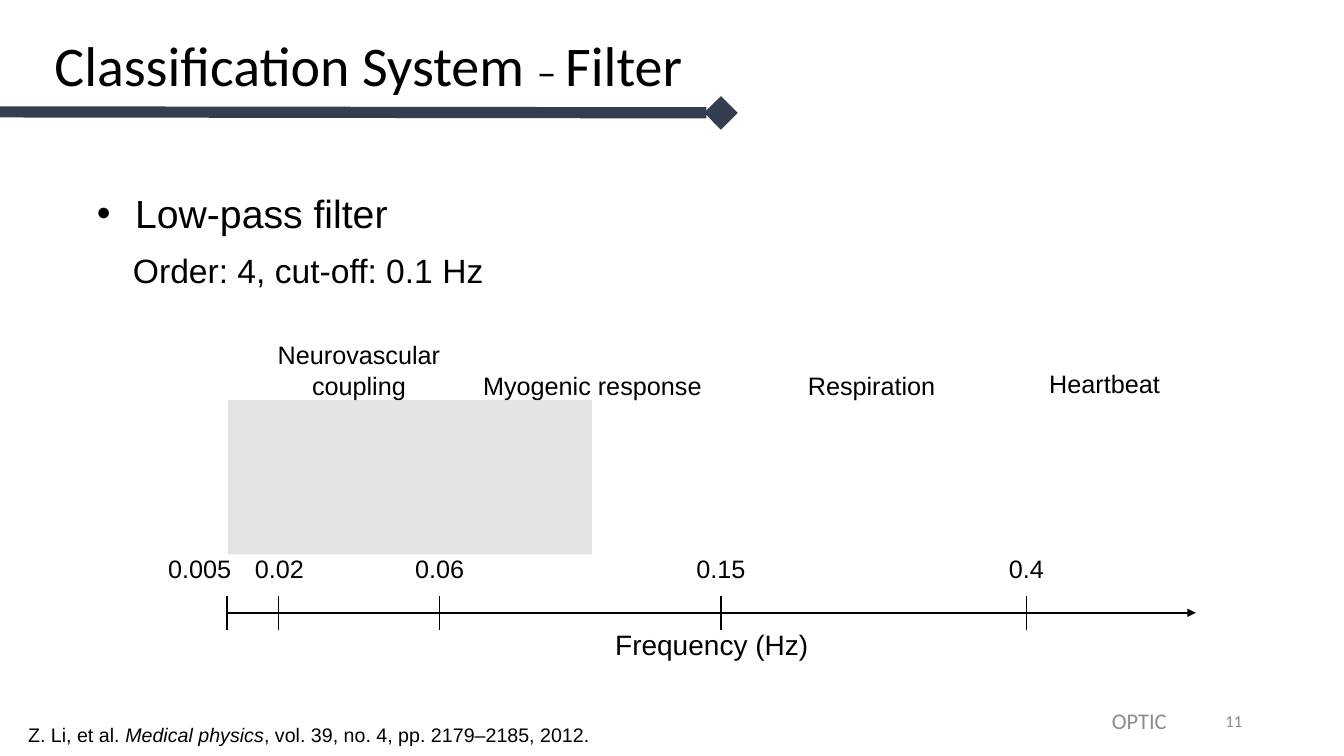
"""Build the low-pass filter slide with its annotated frequency axis."""
from dataclasses import dataclass

import lxml.etree
import pptx
import pptx.dml.color
import pptx.enum.shapes
import pptx.enum.text
import pptx.oxml.ns
import pptx.util

Inches = pptx.util.Inches
Align = pptx.enum.text.PP_ALIGN
Anchor = pptx.enum.text.MSO_ANCHOR
AutoSize = pptx.enum.text.MSO_AUTO_SIZE


@dataclass(frozen=True)
class Theme:
    ink: str = "000000"
    rule: str = "333F50"
    muted: str = "8C8C8C"
    band: str = "D9D9D9"
    heading_font: str = "Calibri"
    body_font: str = "Arial"
    title_size: int = 40
    dash_size: int = 28
    bullet_size: int = 28
    detail_size: int = 24
    axis_size: int = 20
    label_size: int = 18
    footer_size: int = 16
    citation_size: int = 14
    number_size: int = 12


@dataclass(frozen=True)
class Span:
    text: str
    size: int | None = None
    italic: bool = False


@dataclass(frozen=True)
class Label:
    lines: tuple[str, ...]
    left: float
    top: float
    width: float
    height: float = 0.4


@dataclass(frozen=True)
class Tick:
    text: str
    x: float
    label_center: float


THEME = Theme()
AXIS_Y = 6.08
TICK_HALF = 0.17
TICK_LABEL_WIDTH = 1.02
SOURCES = (
    Label(("Heartbeat",), 10.3, 3.6, 1.31),
    Label(("Respiration",), 7.66, 3.62, 1.97),
    Label(("Myogenic response",), 4.68, 3.62, 2.39),
    Label(("Neurovascular", "coupling"), 2.59, 3.32, 1.94, 0.71),
)
TICKS = (
    Tick("0.005", 2.25, 1.98),
    Tick("0.02", 2.76, 2.77),
    Tick("0.06", 4.36, 4.36),
    Tick("0.15", 7.15, 7.15),
    Tick("0.4", 10.18, 10.18),
)


def color(value: str) -> pptx.dml.color.RGBColor:
    return pptx.dml.color.RGBColor.from_string(value)


def add_element(parent, tag: str, **attributes: str):
    element = lxml.etree.SubElement(parent, pptx.oxml.ns.qn(tag))
    for name, value in attributes.items():
        element.set(name, value)
    return element


def place(shape, left: float, top: float, width: float, height: float) -> None:
    shape.left, shape.top = Inches(left), Inches(top)
    shape.width, shape.height = Inches(width), Inches(height)


def write(box, *lines, size: int, font: str = THEME.body_font, ink: str = THEME.ink,
          align=Align.LEFT, anchor=Anchor.TOP, spacing: float = 1.0,
          grow: bool = True, bullet: bool = False) -> None:
    frame = box.text_frame
    frame.word_wrap = True
    frame.vertical_anchor = anchor
    frame.auto_size = AutoSize.SHAPE_TO_FIT_TEXT if grow else AutoSize.NONE
    for index, line in enumerate(lines):
        para = frame.paragraphs[0] if index == 0 else frame.add_paragraph()
        para.alignment, para.line_spacing = align, spacing
        para.space_before = pptx.util.Pt(0)
        if bullet:
            properties = para._p.get_or_add_pPr()
            properties.set("marL", str(Inches(0.38)))
            properties.set("indent", str(Inches(-0.38)))
            add_element(properties, "a:buFont", typeface="Arial")
            add_element(properties, "a:buChar", char="•")
        for span in ((Span(line),) if isinstance(line, str) else line):
            run = para.add_run()
            run.text = span.text
            run.font.name, run.font.size = font, pptx.util.Pt(span.size or size)
            run.font.italic = span.italic
            run.font.color.rgb = color(ink)


def add_text(page, left: float, top: float, width: float, height: float,
             *lines, **style) -> None:
    box = page.shapes.add_textbox(Inches(left), Inches(top), Inches(width), Inches(height))
    write(box, *lines, **style)


def add_line(page, start: tuple[float, float], end: tuple[float, float],
             width: float, ink: str = THEME.ink, tip: str | None = None) -> None:
    line = page.shapes.add_connector(
        pptx.enum.shapes.MSO_CONNECTOR.STRAIGHT, *map(Inches, start + end))
    line.line.color.rgb = color(ink)
    line.line.width = pptx.util.Pt(width)
    if tip:
        add_element(line.line._get_or_add_ln(), "a:tailEnd", type=tip)
    add_element(line._element.spPr, "a:effectLst")


def add_heading(page) -> None:
    title, body = page.shapes.title, page.placeholders[1]
    place(title, 0.44, -0.05, 12.38, 1.45)
    write(title, (Span("Classification System "), Span("– ", THEME.dash_size), Span("Filter")),
          size=THEME.title_size, font=THEME.heading_font, anchor=Anchor.MIDDLE,
          spacing=0.9, grow=False)
    add_line(page, (0, 1.11), (7.15, 1.12), 8, THEME.rule, "diamond")
    place(body, 0.86, 1.83, 4.58, 0.57)
    write(body, "Low-pass filter", size=THEME.bullet_size, bullet=True)
    add_text(page, 1.22, 2.43, 4.22, 0.5, "Order: 4, cut-off: 0.1 Hz", size=THEME.detail_size)


def add_axis(page) -> None:
    for label in SOURCES:
        add_text(page, label.left, label.top, label.width, label.height, *label.lines,
                 size=THEME.label_size, align=Align.CENTER)
    add_line(page, (TICKS[0].x, AXIS_Y), (11.86, AXIS_Y), 1.5, tip="triangle")
    for tick in TICKS:
        add_line(page, (tick.x, AXIS_Y - TICK_HALF), (tick.x, AXIS_Y + TICK_HALF), 1)
        add_text(page, tick.label_center - TICK_LABEL_WIDTH / 2, 5.44, TICK_LABEL_WIDTH, 0.4,
                 tick.text, size=THEME.label_size, align=Align.CENTER)
    add_text(page, 5.69, 6.18, 2.74, 0.44, "Frequency (Hz)",
             size=THEME.axis_size, align=Align.CENTER)


def add_pass_band(page) -> None:
    band = page.shapes.add_shape(pptx.enum.shapes.MSO_SHAPE.RECTANGLE,
                                 Inches(2.26), Inches(3.97), Inches(3.61), Inches(1.53))
    band.shadow.inherit = False
    band.fill.solid()
    band.fill.fore_color.rgb = color(THEME.band)
    band.line.fill.background()
    fill = band._element.spPr.find(pptx.oxml.ns.qn("a:solidFill"))
    add_element(fill[0], "a:alpha", val="70000")


def add_footer(page) -> None:
    add_text(page, 0.18, 7.12, 7.48, 0.34,
             (Span("Z. Li, et al. "), Span("Medical physics", italic=True),
              Span(", vol. 39, no. 4, pp. 2179–2185, 2012.")), size=THEME.citation_size)
    muted = dict(font=THEME.heading_font, ink=THEME.muted, anchor=Anchor.MIDDLE, grow=False)
    add_text(page, 10.7, 6.95, 1.2, 0.4, "OPTIC",
             size=THEME.footer_size, align=Align.CENTER, **muted)
    add_text(page, 9.42, 6.95, 3, 0.4, "11",
             size=THEME.number_size, align=Align.RIGHT, **muted)


def main() -> None:
    deck = pptx.Presentation()
    deck.slide_width, deck.slide_height = Inches(13.33), Inches(7.5)
    page = deck.slides.add_slide(deck.slide_layouts[1])
    add_heading(page)
    add_axis(page)
    add_pass_band(page)
    add_footer(page)
    deck.save("out.pptx")


if __name__ == "__main__":
    main()
